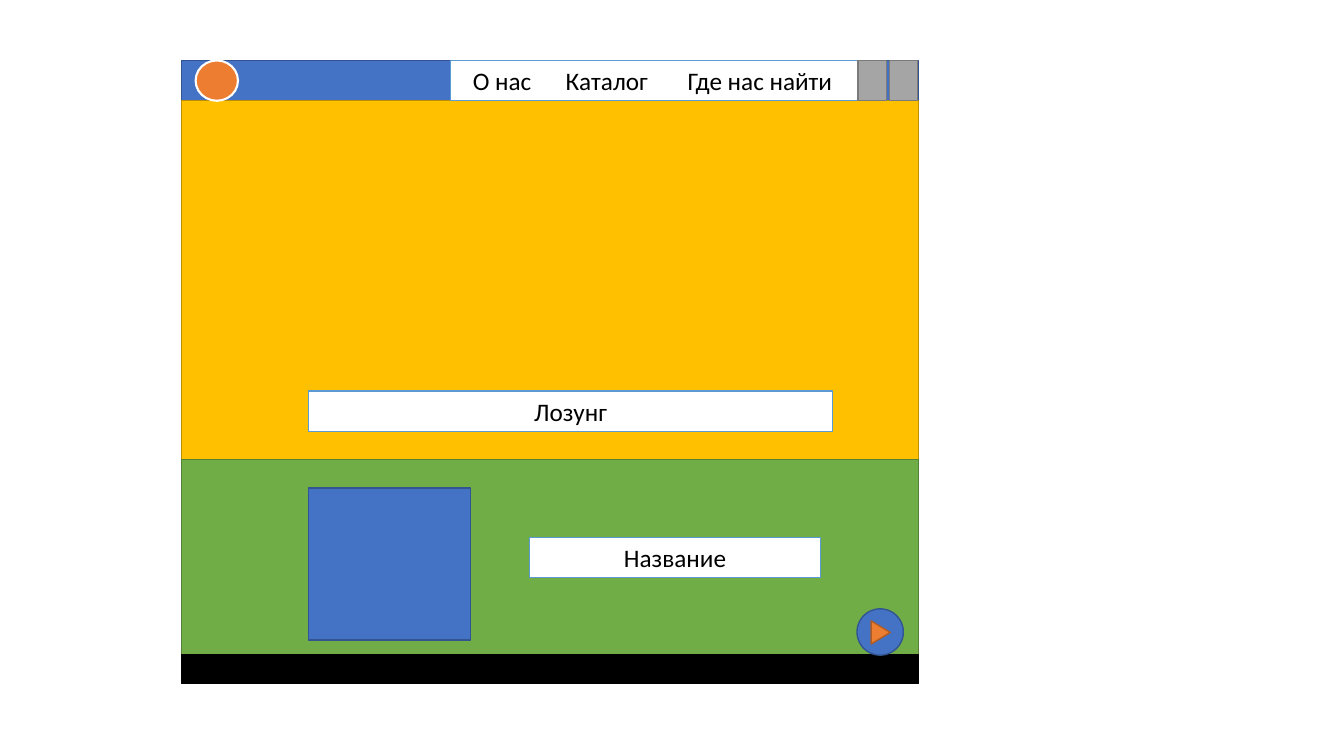
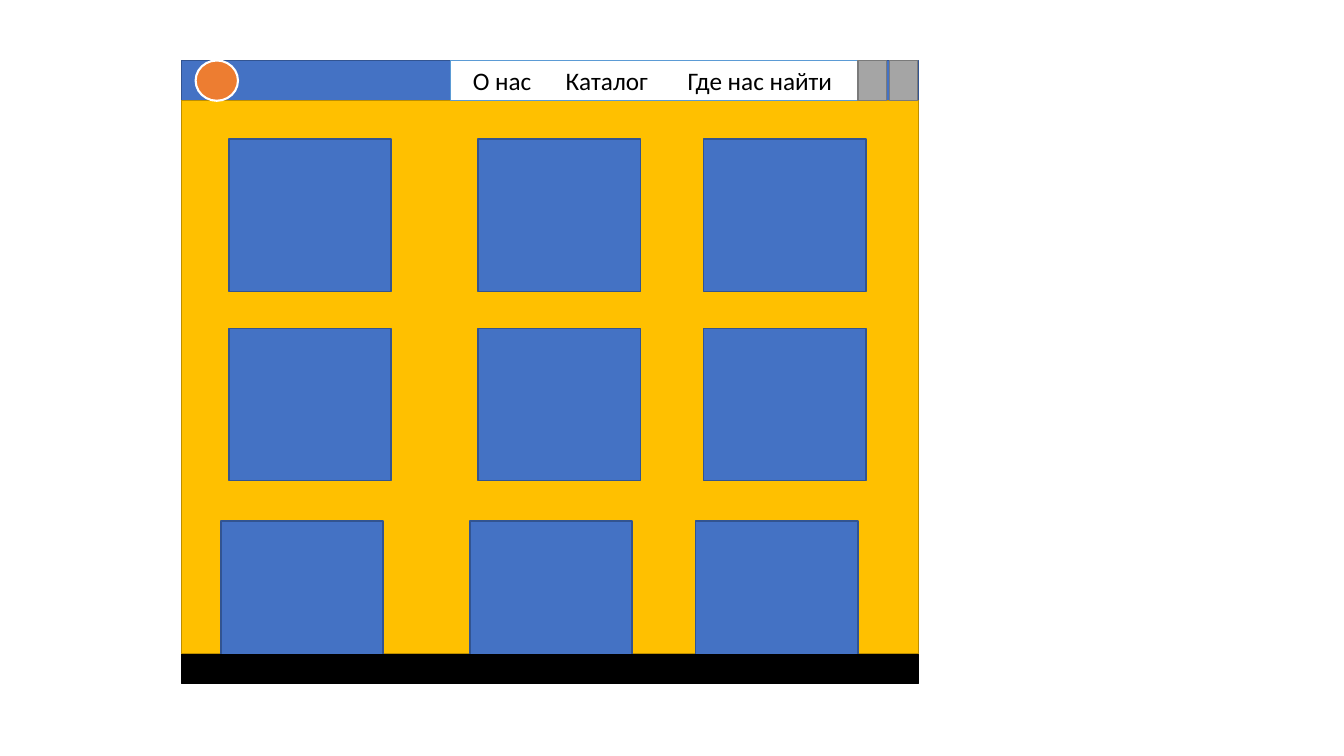
from itertools import product

from pptx import Presentation
from pptx.dml.color import RGBColor as RGB
from pptx.enum.shapes import MSO_SHAPE as Form
from pptx.enum.text import MSO_ANCHOR as Anchor, MSO_AUTO_SIZE as Fit, PP_ALIGN as Align
from pptx.oxml.ns import qn
from pptx.util import Inches, Pt
from lxml import etree

HUES = {"blue": "4472C4", "navy": "325491", "gold": "FFC000", "ochre": "BD8E00",
        "green": "70AD47", "moss": "538035", "black": "000000", "white": "FFFFFF",
        "sky": "5B9BD5", "gray": "A5A5A5", "slate": "7A7A7A",
        "orange": "ED7D31", "rust": "AF5C24"}
FONT = {"name": "Calibri", "size": Pt(18)}

# Page frame, in inches
LEFT, TOP, WIDE, BAR = 1.8, 0.6, 7.31, 0.4
BODY, FOOT = 1.0, 6.49
TILE = (1.61, 1.51)
MENU = ["О нас", "Каталог", "Где нас найти"]
TABS = [0.92, 2.13]


def box(shapes, at, fill, edge, form=Form.RECTANGLE, width=1):
    shape = shapes.add_shape(form, *map(Inches, at))
    shape.shadow.inherit = False
    shape.fill.solid()
    shape.fill.fore_color.rgb = RGB.from_string(HUES[fill])
    shape.line.color.rgb = RGB.from_string(HUES[edge])
    shape.line.width = Pt(width)
    return shape


def label(shapes, at, text, align=Align.CENTER):
    frame = box(shapes, at, "white", "sky").text_frame
    frame.text = text
    frame.auto_size = Fit.SHAPE_TO_FIT_TEXT
    frame.vertical_anchor = Anchor.TOP
    para = frame.paragraphs[0]
    para.alignment = align
    for key, value in FONT.items():
        setattr(para.font, key, value)
    para.font.color.rgb = RGB.from_string(HUES["black"])
    return frame


deck = Presentation()
deck.slide_width, deck.slide_height = Inches(13.33), Inches(7.5)
pages = [deck.slides.add_slide(deck.slide_layouts[6]).shapes for _ in range(2)]

# Shared header and body
for page in pages:
    box(page, (LEFT, TOP, WIDE, BAR), "blue", "navy")
    box(page, (LEFT, BODY, WIDE, FOOT - BODY), "gold", "ochre")
    menu = label(page, (4.47, TOP, 4.04, BAR), "\t".join(MENU), Align.LEFT)
    menu.margin_left, menu.margin_right = Inches(0.22), Inches(0.05)
    props = menu.paragraphs[0].font._element.getparent()
    stops = etree.Element(qn("a:tabLst"))
    for stop in TABS:
        etree.SubElement(stops, qn("a:tab"), pos=str(Inches(stop)), algn="l")
    props.insert(0, stops)
    for left in (8.51, 8.82):
        box(page, (left, TOP, 0.28, BAR), "gray", "slate")
    box(page, (1.94, TOP, 0.42, BAR), "orange", "white", Form.OVAL, 1.5)

home, goods = pages

# Home: slogan and product band
box(home, (LEFT, 4.56, WIDE, 1.94), "green", "moss")
label(home, (3.06, 3.88, 5.2, BAR), "Лозунг")
box(home, (3.06, 4.84, *TILE), "blue", "navy")
label(home, (5.25, 5.33, 2.89, BAR), "Название")

# Catalogue: three rows of tiles, the last one set slightly left
for (top, shift), left in product([(1.38, 0), (3.26, 0), (5.17, 0.08)], [2.27, 4.74, 6.98]):
    box(goods, (left - shift, top, *TILE), "blue", "navy")

# Shared footer
for page in pages:
    box(page, (LEFT, FOOT, WIDE, 0.29), "black", "black")

# Home: play button
play = home.add_group_shape().shapes
box(play, (8.5, 6.04, 0.46, 0.46), "blue", "navy", Form.OVAL)
arrow = box(play, (8.62, 6.18, 0.23, 0.19), "orange", "rust", Form.ISOSCELES_TRIANGLE)
arrow.rotation = 90

deck.save("out.pptx")
